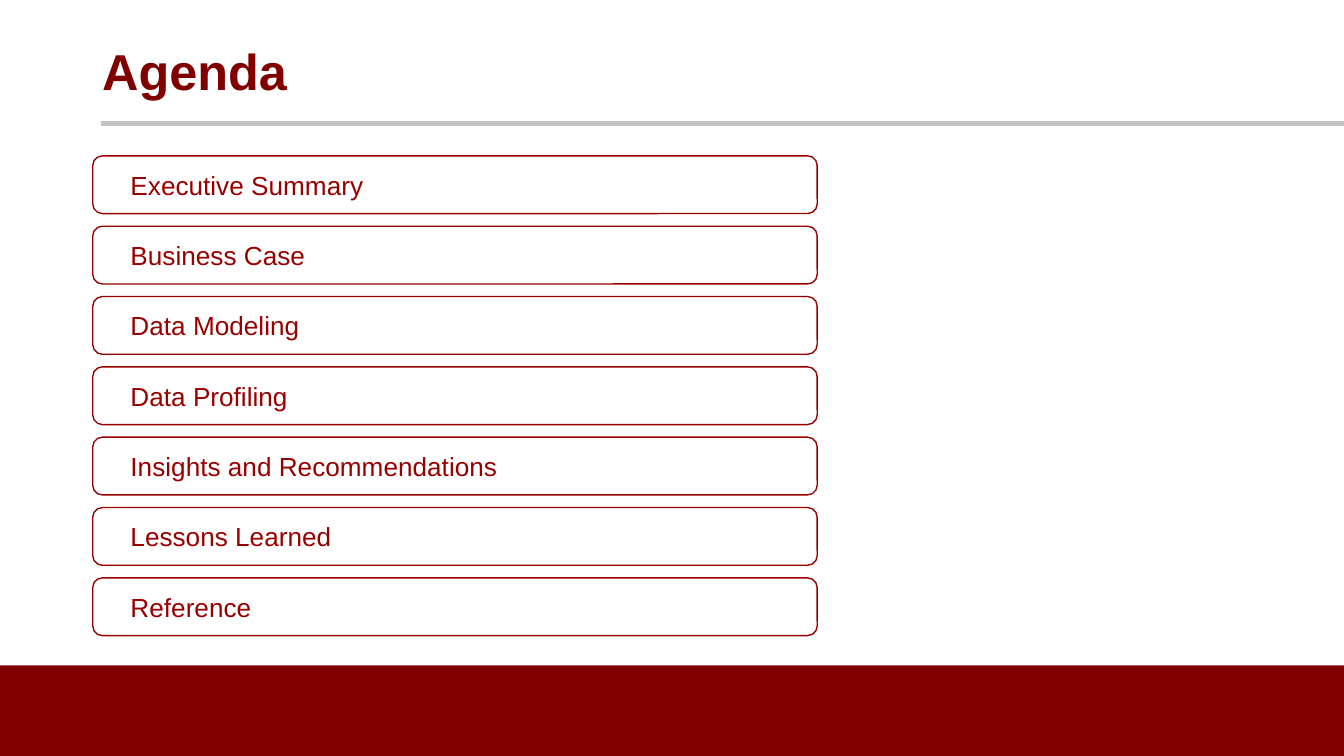
from lxml import etree
from pptx import Presentation
from pptx.dml.color import RGBColor
from pptx.enum import shapes, text
from pptx.oxml import ns
from pptx.util import Inches, Pt

WHITE = RGBColor(0xFF, 0xFF, 0xFF)
MAROON = RGBColor(0x80, 0x00, 0x00)
CRIMSON = RGBColor(0x98, 0x00, 0x00)
GREY = RGBColor(0xC2, 0xC3, 0xC2)

WIDTH = Inches(10)
HEIGHT = WIDTH * 9 // 16
TOPICS = [
    "Executive Summary",
    "Business Case",
    "Data Modeling",
    "Data Profiling",
    "Insights and Recommendations",
    "Lessons Learned",
    "Reference",
]


def write_text(shape, content, *, size, color, bold=False, left=0.1, vertical=0.1):
    """Write one left-aligned, vertically centred line into a shape."""
    frame = shape.text_frame
    frame.word_wrap = True
    frame.vertical_anchor = text.MSO_ANCHOR.MIDDLE
    frame.margin_left = Inches(left)
    frame.margin_right = Inches(0.1)
    frame.margin_top = frame.margin_bottom = Inches(vertical)
    paragraph = frame.paragraphs[0]
    paragraph.alignment = text.PP_ALIGN.LEFT
    run = paragraph.add_run()
    run.text = content
    run.font.name = "Arial"
    run.font.size = Pt(size)
    run.font.bold = bold
    run.font.color.rgb = color


def add_header(slide, left, top, width, height):
    """Place the title with a rule below it that runs to the slide edge."""
    title = slide.shapes.add_textbox(left, top, width, height)
    write_text(title, "Agenda", size=27, color=MAROON, bold=True, left=0.07, vertical=0.04)
    rule_y = top + height + Inches(0.01)
    rule = slide.shapes.add_connector(
        shapes.MSO_CONNECTOR.STRAIGHT, left + Inches(0.06), rule_y, WIDTH, rule_y
    )
    rule.line.color.rgb = GREY
    rule.line.width = Pt(3)
    etree.SubElement(rule._element.spPr, ns.qn("a:effectLst"))


def add_topics(slide, left, top, width, height):
    """Spread the agenda topics evenly down the box as rounded frames."""
    row_height = Inches(0.43)
    pitch = (height - row_height) / (len(TOPICS) - 1)
    for index, topic in enumerate(TOPICS):
        frame = slide.shapes.add_shape(
            shapes.MSO_SHAPE.ROUNDED_RECTANGLE,
            left, top + round(index * pitch), width, row_height,
        )
        frame.shadow.inherit = False
        frame.fill.background()
        frame.line.color.rgb = CRIMSON
        frame.line.width = Pt(0.75)
        write_text(frame, topic, size=14, color=CRIMSON, left=0.26)


def add_footer(slide, left, top, width, height):
    """Fill the box with the footer band."""
    band = slide.shapes.add_shape(shapes.MSO_SHAPE.RECTANGLE, left, top, width, height)
    band.shadow.inherit = False
    band.fill.solid()
    band.fill.fore_color.rgb = MAROON
    band.line.fill.background()


def main():
    """Build and save the agenda slide."""
    presentation = Presentation()
    presentation.slide_width, presentation.slide_height = WIDTH, HEIGHT
    slide = presentation.slides.add_slide(presentation.slide_layouts[6])
    slide.background.fill.solid()
    slide.background.fill.fore_color.rgb = WHITE
    margin = Inches(0.69)
    footer_top = Inches(4.95)
    add_footer(slide, 0, footer_top, WIDTH, HEIGHT - footer_top)
    add_header(slide, margin, Inches(0.13), Inches(8.62), Inches(0.78))
    add_topics(slide, margin, Inches(1.16), Inches(5.39), Inches(3.57))
    presentation.save("out.pptx")


if __name__ == "__main__":
    main()
